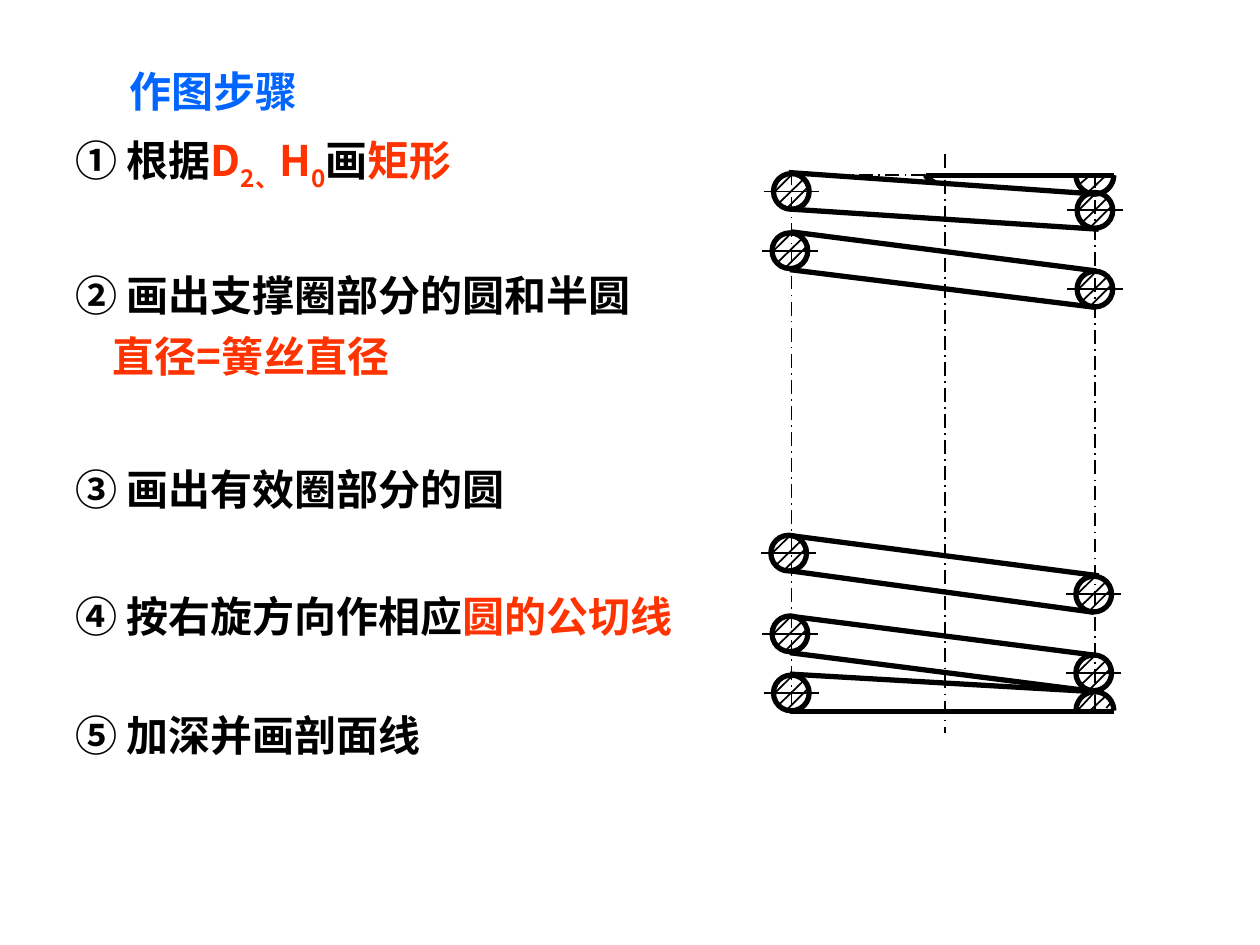
from math import cos, pi, sin

from lxml import etree
from pptx import Presentation
from pptx.dml.color import RGBColor
from pptx.enum.dml import MSO_LINE
from pptx.enum.shapes import MSO_CONNECTOR, MSO_SHAPE
from pptx.enum.text import MSO_ANCHOR, PP_ALIGN
from pptx.oxml.ns import qn
from pptx.util import Pt

STRAIGHT = MSO_CONNECTOR.STRAIGHT
OVAL, RECT = MSO_SHAPE.OVAL, MSO_SHAPE.RECTANGLE
DASH = MSO_LINE.LONG_DASH_DOT
TOP, MIDDLE = MSO_ANCHOR.TOP, MSO_ANCHOR.MIDDLE
LEFT = PP_ALIGN.LEFT

COLORS = {"ink": "000000", "blue": "0066FF", "red": "FF3300"}
FONT = "Noto Sans CJK SC"
THIN, THICK = 1, 3

# Steps: box, anchor, line spacing, then paragraphs of (text, colour, baseline)
STEPS = [
    ((36, 73.4, 286, 40), TOP, 1,
     [[("① 根据", "ink", 0), ("D", "red", 0), ("2、", "red", -25),
       ("H", "red", 0), ("0", "red", -25), ("画", "ink", 0),
       ("矩形", "red", 0)]]),
    ((36, 144.7, 376.6, 76.3), MIDDLE, 1.2,
     [[("② 画出支撑圈部分的圆和半圆", "ink", 0)],
      [("直径=簧丝直径", "red", 0)]]),
    ((36, 255.6, 330.5, 41.8), MIDDLE, 1.2,
     [[("③ 画出有效圈部分的圆", "ink", 0)]]),
    ((36, 328.3, 441.4, 41.8), MIDDLE, 1.2,
     [[("④ 按右旋方向作相应", "ink", 0), ("圆的公切线", "red", 0)]]),
    ((36, 401.8, 284.4, 36), TOP, 1,
     [[("⑤ 加深并画剖面线", "ink", 0)]]),
]
INDENT = 21.5

# Spring geometry, in points from the corner of its box
RADIUS = 10.2
HALF = 10.8
SPAN = (20.2, 13.7, 193.7, 319.7)
COILS = [
    (20.2, 23), (193.7, 33.8), (19.4, 56.9), (193.7, 78.8),
    (18.7, 229.7), (193, 253.1), (19.4, 275.8), (193, 298.1),
    (20.2, 309.6),
]
EDGES = [
    (204.5, 13.7, 97.2, 13.7),
    (18.7, 12.2, 194.4, 24.5), (19.4, 33.1, 195.8, 44.6),
    (20.2, 46.1, 194.4, 68.4), (19.4, 67.7, 194.4, 89.3),
    (19.4, 219.6, 195.8, 242.6), (19.4, 239.8, 193, 263.5),
    (19.4, 265.7, 193.7, 288), (19.4, 286.6, 194.4, 308.9),
    (19.4, 298.8, 194.4, 308.9), (19.4, 320.4, 204.5, 320.4),
]
TIP = [(96.5, 13.7), (98.7, 15.8), (102.2, 18)]
# Centre mark and hatching, from the centre of a coil
MARKS = [(-15.8, 0, 15.8, 0), (-9.4, 0, 0.7, -10),
         (-7.2, 6.8, 7.2, -7.2), (-2.9, 10, 10, -2.9)]
# Hatching of the two half coils
HATCH = [
    (184.3, 19.4, 190.1, 14.4), (189.4, 23.8, 200.2, 13.7),
    (184.3, 319, 193.7, 308.9), (190.1, 320.4, 199.4, 311.8),
    (200.2, 318.2, 203.8, 313.9),
]


def color(name):
    return RGBColor.from_string(COLORS[name])


def place(shape, box):
    shape.left, shape.top, shape.width, shape.height = map(Pt, box)


def add_run(para, text, tint, base=0):
    run = para.add_run()
    run.text = text
    font = run.font
    font.name, font.size, font.bold = FONT, Pt(24), True
    font.color.rgb = color(tint)
    props = run._r.get_or_add_rPr()
    etree.SubElement(props, qn("a:ea"), typeface=FONT)
    if base:
        props.set("baseline", str(base * 1000))


def draw_title(slide, box):
    title = slide.shapes.title
    place(title, box)
    title.text_frame.vertical_anchor = MIDDLE
    para = title.text_frame.paragraphs[0]
    para.alignment = LEFT
    add_run(para, "作图步骤", "blue")


def draw_step(slide, box, anchor, pitch, paras):
    frame = slide.shapes.add_textbox(*map(Pt, box)).text_frame
    frame.word_wrap = True
    frame.vertical_anchor = anchor
    for i, runs in enumerate(paras):
        para = frame.add_paragraph() if i else frame.paragraphs[0]
        para.line_spacing = pitch
        if i:
            para._p.get_or_add_pPr().set("marL", str(Pt(INDENT)))
        for run in runs:
            add_run(para, *run)


def ink(shape, width, dash=None):
    shape.line.color.rgb = color("ink")
    shape.line.width = Pt(width)
    if dash:
        shape.line.dash_style = dash


def draw_spring(slide, box):
    left, top, width, height = box
    parts = slide.shapes.add_group_shape().shapes

    def line(x1, y1, x2, y2, weight, dash=None):
        link = parts.add_connector(STRAIGHT, Pt(left + x1), Pt(top + y1),
                                   Pt(left + x2), Pt(top + y2))
        ink(link, weight, dash)
        etree.SubElement(link._element.spPr, qn("a:effectLst"))

    def hollow(shape, weight, dash=None):
        shape.fill.background()
        shape.shadow.inherit = False
        ink(shape, weight, dash)

    def curve(points):
        spots = [(Pt(left + x), Pt(top + y)) for x, y in points]
        path = parts.build_freeform(*spots[0])
        path.add_line_segments(spots[1:], close=False)
        hollow(path.convert_to_shape(), THICK)

    def preset(kind, x, y, w, h, weight, dash=None):
        shape = parts.add_shape(kind, Pt(left + x), Pt(top + y), Pt(w), Pt(h))
        hollow(shape, weight, dash)

    # Axis and centre-line rectangle
    line(width / 2, 1.4, width / 2, height - 2.2, THIN, DASH)
    x1, y1, x2, y2 = SPAN
    preset(RECT, x1, y1, x2 - x1, y2 - y1, THIN, DASH)

    # Half coils at the right corners
    for y, side in ((y1, 1), (y2, -1)):
        curve([(x2 - HALF * cos(pi * i / 24), y + side * HALF * sin(pi * i / 24))
               for i in range(25)])

    # Tangents and the wire's tip
    for edge in EDGES:
        line(*edge, THICK)
    curve(TIP)

    # Full coils with centre marks and hatching
    for x, y in COILS:
        preset(OVAL, x - RADIUS, y - RADIUS, 2 * RADIUS, 2 * RADIUS, THICK)
        for a, b, c, d in MARKS:
            line(x + a, y + b, x + c, y + d, THIN)
    for mark in HATCH:
        line(*mark, THIN)


def main():
    deck = Presentation()
    deck.slide_width, deck.slide_height = Pt(720), Pt(540)
    slide = deck.slides.add_slide(deck.slide_layouts[5])
    draw_title(slide, (67, 33.8, 154, 36))
    for step in STEPS:
        draw_step(slide, *step)
    draw_spring(slide, (432, 86.4, 216, 334.8))
    deck.save("out.pptx")


if __name__ == "__main__":
    main()
